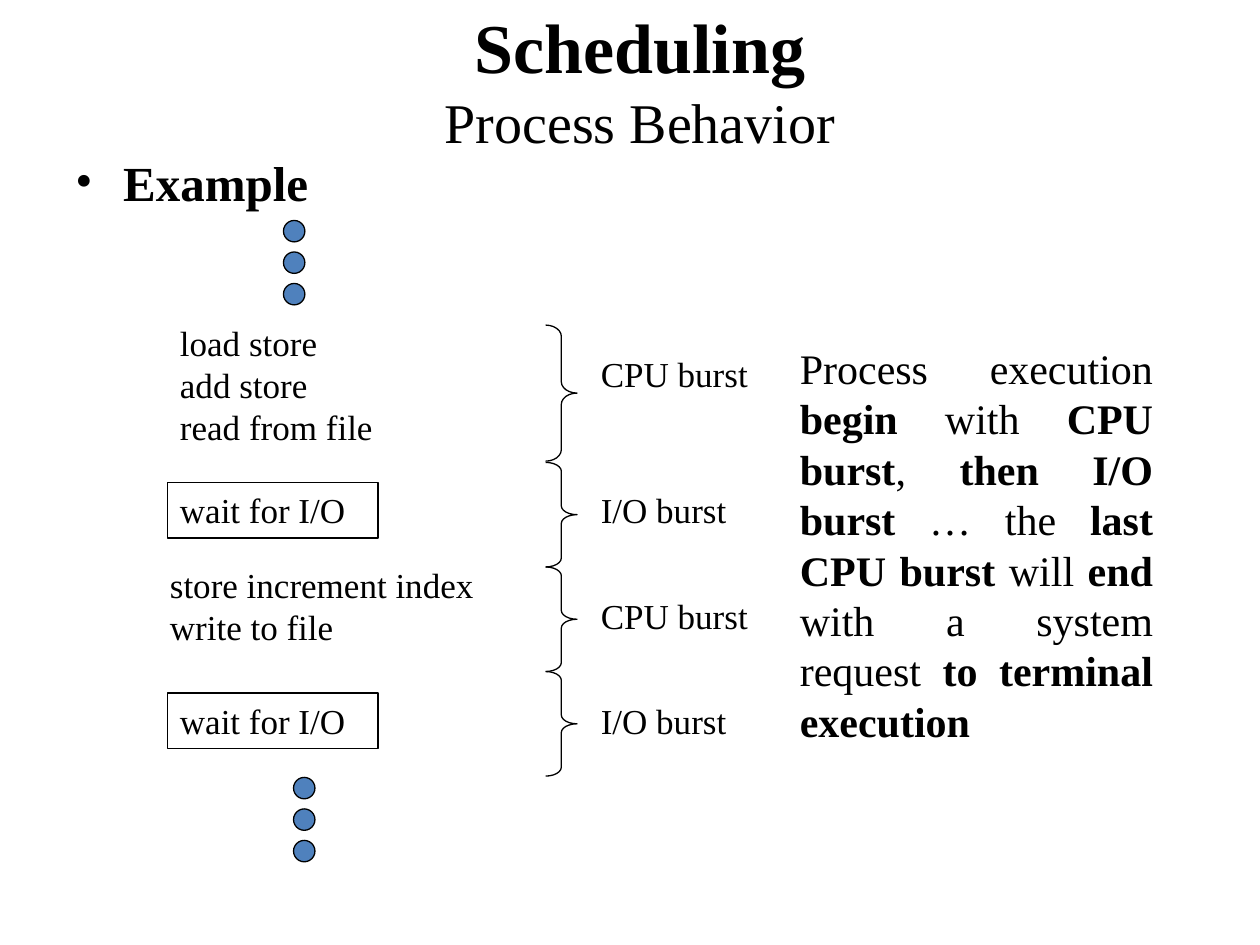
"""Builds the slide on process behavior: CPU bursts alternating with I/O bursts."""
from pptx import Presentation
from pptx.dml.color import RGBColor
from pptx.enum.shapes import MSO_SHAPE as Shape
from pptx.enum.text import MSO_ANCHOR as Anchor, PP_ALIGN as Align
from pptx.oxml.ns import qn
from pptx.util import Inches, Pt
from lxml.etree import SubElement

BLACK = "000000"
BLUE = "4F81BD"


def add_text(left, top, width, height, lines, size=20, align=Align.LEFT):
    """Add a text box; every line is a list of (text, bold) pieces."""
    box = slide.shapes.add_textbox(Inches(left), Inches(top), Inches(width), Inches(height))
    box.text_frame.word_wrap = True
    box.text_frame.text = "\n".join("" for _ in lines)
    for paragraph, pieces in zip(box.text_frame.paragraphs, lines):
        paragraph.alignment = align
        for text, bold in pieces:
            run = paragraph.add_run()
            run.text = text
            run.font.name = "Times New Roman"
            run.font.size = Pt(size)
            run.font.bold = bold
            run.font.color.rgb = RGBColor.from_string(BLACK)
    return box


def add_outline(kind, left, top, width, height, fill=None):
    """Add a preset shape with a thin black line."""
    shape = slide.shapes.add_shape(kind, Inches(left), Inches(top), Inches(width), Inches(height))
    shape.shadow.inherit = False
    if fill:
        shape.fill.solid()
        shape.fill.fore_color.rgb = RGBColor.from_string(fill)
    else:
        shape.fill.background()
    shape.line.color.rgb = RGBColor.from_string(BLACK)
    shape.line.width = Pt(0.75)
    return shape


deck = Presentation()
deck.slide_width, deck.slide_height = Inches(10), Inches(7.5)
slide = deck.slides.add_slide(deck.slide_layouts[6])

title = add_text(0.58, 0.17, 9, 0.92, [[("Scheduling", True)], [("Process Behavior", False)]],
                 40, Align.CENTER)
title.text_frame.vertical_anchor = Anchor.MIDDLE
title.text_frame.paragraphs[1].runs[0].font.size = Pt(32)

example = add_text(0.5, 1.25, 9.5, 0.6, [[("Example", True)]], 28, Align.JUSTIFY)
heading = example.text_frame.paragraphs[0]
heading.line_spacing = 0.8
bullet_props = heading._p.get_or_add_pPr()
bullet_props.set("marL", str(Inches(0.38)))
bullet_props.set("indent", str(Inches(-0.38)))
SubElement(bullet_props, qn("a:buFont")).set("typeface", "Times New Roman")
SubElement(bullet_props, qn("a:buChar")).set("char", "•")

for dots_left, dots_top in [(2.25, 1.75), (2.33, 6.17)]:
    for step in range(3):
        add_outline(Shape.OVAL, dots_left, dots_top + step * 0.25, 0.17, 0.17, BLUE)

for left, top, height, instructions in [
    (1.33, 2.5, 1.1, ["load store", "add store", "read from file"]),
    (1.25, 4.42, 0.77, ["store increment index", "write to file"]),
]:
    add_text(left, top, 2.75, height, [[(line, False)] for line in instructions])

for wait_top in (3.83, 5.5):
    add_outline(Shape.RECTANGLE, 1.33, wait_top, 1.67, 0.44)
    add_text(1.33, wait_top, 1.67, 0.44, [[("wait for I/O", False)]])

for brace_top, brace_height, label_top, burst, curl in [
    (2.58, 1.08, 2.75, "CPU burst", 0.36),
    (3.67, 0.83, 3.83, "I/O burst", 0.28),
    (4.5, 0.83, 4.67, "CPU burst", 0.28),
    (5.33, 0.83, 5.5, "I/O burst", 0.28),
]:
    brace = add_outline(Shape.RIGHT_BRACE, 4.33, brace_top, 0.25, brace_height)
    brace.adjustments[0] = curl
    add_text(4.67, label_top, 1.5, 0.43, [[(burst, False)]])

summary = [
    ("Process execution ", False), ("begin", True), (" with ", False), ("CPU burst", True),
    (", ", False), ("then I/O burst", True), (" … the ", False), ("last CPU burst ", True),
    ("will ", False), ("end", True), (" with a system request ", False),
    ("to terminal execution", True),
]
add_text(6.25, 2.67, 3, 3.33, [summary], 24, Align.JUSTIFY)

deck.save("out.pptx")
